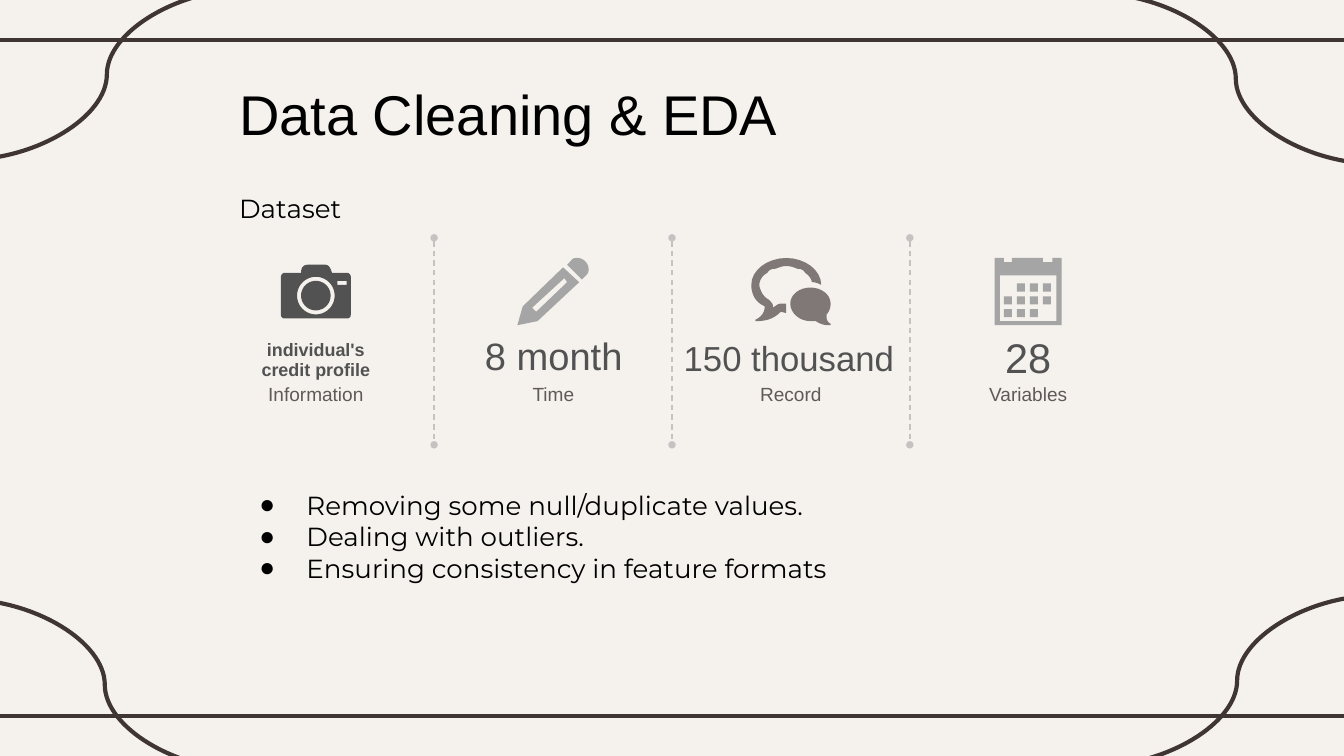
from math import cos, pi, sin

from lxml.etree import SubElement
from pptx import Presentation
from pptx.dml.color import RGBColor
from pptx.enum.dml import MSO_LINE
from pptx.enum.shapes import MSO_CONNECTOR as Connector
from pptx.enum.text import MSO_ANCHOR as Anchor, MSO_AUTO_SIZE as AutoSize, PP_ALIGN as Align
from pptx.oxml.ns import qn
from pptx.util import Inches, Pt

INK = "3F3533"
BLACK = "000000"
DARK = "525252"
GREY = "A5A5A5"


def paint(color_format, color):
    """Set a colour from a hex string."""
    color_format.rgb = RGBColor.from_string(color)


def place(shape, left, top, width, height):
    """Move and size a shape, in inches."""
    shape.left, shape.top = Inches(left), Inches(top)
    shape.width, shape.height = Inches(width), Inches(height)


def add_bullet(paragraph):
    """Give a paragraph a black dot with a hanging indent."""
    properties = paragraph._p.get_or_add_pPr()
    properties.set("marL", str(Inches(0.5)))
    properties.set("indent", str(Inches(-0.35)))
    color = SubElement(properties, qn("a:buClr"))
    SubElement(color, qn("a:srgbClr"), val=BLACK)
    SubElement(properties, qn("a:buChar"), char="●")


def write(frame, text, size, color=BLACK, font="Arial", bold=False, align=Align.LEFT,
          spacing=1.0, after=0, insets=(0.1, 0.1), bullets=False):
    """Fill a text frame with one paragraph per line of text."""
    frame.word_wrap = True
    frame.auto_size = AutoSize.NONE
    frame.vertical_anchor = Anchor.TOP
    frame.margin_left = frame.margin_right = Inches(0.1)
    frame.margin_top, frame.margin_bottom = map(Inches, insets)
    for index, line in enumerate(text.split("\n")):
        paragraph = frame.add_paragraph() if index else frame.paragraphs[0]
        paragraph.alignment = align
        paragraph.line_spacing = spacing
        paragraph.space_before, paragraph.space_after = Pt(0), Pt(after)
        if bullets:
            add_bullet(paragraph)
        run = paragraph.add_run()
        run.text = line
        run.font.size, run.font.name, run.font.bold = Pt(size), font, bold
        paint(run.font.color, color)


def add_text(slide, box, text, size, **text_format):
    """Add a text box at the given left, top, width and height."""
    write(slide.shapes.add_textbox(*map(Inches, box)).text_frame, text, size, **text_format)


def add_line(slide, start, end, kind=Connector.STRAIGHT, color=INK, width=2.25, dotted_ends=False):
    """Add a connector, dashed with small oval ends when asked."""
    connector = slide.shapes.add_connector(kind, *map(Inches, (*start, *end)))
    connector.line.width = Pt(width)
    paint(connector.line.color, color)
    if dotted_ends:
        connector.line.dash_style = MSO_LINE.DASH
        for tag in ("a:headEnd", "a:tailEnd"):
            SubElement(connector.line._get_or_add_ln(), qn(tag), type="oval", w="sm", len="sm")
    SubElement(connector._element.spPr, qn("a:effectLst"))


def trace(start, *segments, steps=8):
    """Return the points of an outline of lines (x, y) and cubic curves (six numbers)."""
    points = [start]
    for segment in segments:
        if len(segment) == 2:
            points.append(segment)
            continue
        x, y = points[-1]
        x1, y1, x2, y2, x3, y3 = segment
        for t in (step / steps for step in range(1, steps + 1)):
            a, b, c, d = (1 - t) ** 3, 3 * t * (1 - t) ** 2, 3 * t * t * (1 - t), t ** 3
            points.append((a * x + b * x1 + c * x2 + d * x3, a * y + b * y1 + c * y2 + d * y3))
    return points


def circle(x, y, radius, steps=40):
    """Return the points of a circle."""
    angles = (2 * pi * step / steps for step in range(steps))
    return [(x + radius * cos(angle), y + radius * sin(angle)) for angle in angles]


def rectangle(left, top, right, bottom):
    """Return the corners of a rectangle."""
    return [(left, top), (right, top), (right, bottom), (left, bottom)]


def add_icon(slide, color, outlines):
    """Add one filled freeform made of closed outlines."""
    outlines = [[(Inches(x), Inches(y)) for x, y in outline] for outline in outlines]
    builder = slide.shapes.build_freeform(*outlines[0][0])
    for index, outline in enumerate(outlines):
        if index:
            builder.move_to(*outline[0])
        builder.add_line_segments(outline[1:], close=True)
    icon = builder.convert_to_shape()
    icon.shadow.inherit = False
    icon.fill.solid()
    paint(icon.fill.fore_color, color)
    icon.line.fill.background()


def camera():
    """Return the outlines of the camera."""
    body = trace((2.58, 2.03), (2.47, 2.03), (2.46, 2, 2.45, 1.97, 2.42, 1.97), (2.29, 1.97),
                 (2.25, 1.97, 2.24, 2, 2.24, 2.03), (2.12, 2.03),
                 (2.1, 2.03, 2.09, 2.05, 2.09, 2.06), (2.09, 2.34),
                 (2.09, 2.36, 2.1, 2.37, 2.12, 2.37), (2.58, 2.37),
                 (2.6, 2.37, 2.61, 2.36, 2.61, 2.34), (2.61, 2.06),
                 (2.61, 2.05, 2.6, 2.03, 2.58, 2.03))
    return [body, circle(2.35, 2.2, 0.14), circle(2.35, 2.2, 0.11),
            rectangle(2.51, 2.09, 2.58, 2.12)]


def pencil():
    """Return the outlines of the pencil."""
    eraser = trace((4.3, 1.92), (4.34, 1.92, 4.38, 1.96, 4.38, 2), (4.38, 2.02, 4.38, 2.03, 4.36, 2.05),
                   (4.33, 2.08), (4.22, 1.97), (4.25, 1.94), (4.26, 1.92, 4.28, 1.92, 4.3, 1.92))
    barrel = [(3.89, 2.28), (3.85, 2.42), (4, 2.39), (4.31, 2.1), (4.19, 1.99)]
    slot = [(4.22, 2.1), (3.99, 2.32), (3.96, 2.29), (4.2, 2.07)]
    return [eraser, barrel, slot]


def speech_bubbles():
    """Return the outlines of the two speech bubbles."""
    small = trace((6.15, 2.36), (6.15, 2.38, 6.16, 2.4, 6.18, 2.41), (6.18, 2.42), (6.16, 2.42),
                  (6.13, 2.42, 6.1, 2.41, 6.07, 2.39), (6.03, 2.39),
                  (5.95, 2.39, 5.88, 2.33, 5.88, 2.26), (5.88, 2.19, 5.95, 2.14, 6.03, 2.14),
                  (6.11, 2.14, 6.18, 2.19, 6.18, 2.26), (6.18, 2.29, 6.17, 2.32, 6.15, 2.34))
    large = trace((5.71, 2.03), (5.67, 2.05, 5.65, 2.09, 5.65, 2.12),
                  (5.65, 2.14, 5.66, 2.16, 5.67, 2.18), (5.68, 2.2, 5.7, 2.22, 5.72, 2.23),
                  (5.73, 2.24, 5.75, 2.26, 5.75, 2.27), (5.75, 2.29),
                  (5.78, 2.27, 5.79, 2.26, 5.81, 2.26), (5.85, 2.26), (5.85, 2.33), (5.81, 2.32),
                  (5.75, 2.38, 5.69, 2.39, 5.62, 2.39), (5.62, 2.38),
                  (5.66, 2.36, 5.69, 2.33, 5.69, 2.28), (5.62, 2.25, 5.59, 2.19, 5.59, 2.12),
                  (5.59, 2.01, 5.71, 1.92, 5.85, 1.92), (5.99, 1.92, 6.11, 2.01, 6.11, 2.12),
                  (6.09, 2.11, 6.07, 2.1, 6.04, 2.1), (6.04, 2.08, 6.02, 2.05, 5.99, 2.03),
                  (5.98, 2.01, 5.96, 2, 5.93, 2), (5.91, 1.99, 5.88, 1.98, 5.85, 1.98),
                  (5.82, 1.98, 5.8, 1.99, 5.77, 2), (5.74, 2, 5.72, 2.01, 5.71, 2.03))
    return [small, large]


def calendar():
    """Return the outlines of the calendar with its grid of days."""
    sheet = [(7.83, 1.92), (7.83, 1.95), (7.76, 1.95), (7.76, 1.92), (7.53, 1.92), (7.53, 1.95),
             (7.47, 1.95), (7.47, 1.92), (7.4, 1.92), (7.4, 2.42), (7.9, 2.42), (7.9, 1.92)]
    corners = [(7.47 + 0.29 * column / 3, 2.11 + 0.19 * row / 2)
               for row in range(3) for column in range(4) if (row, column) not in ((0, 0), (2, 3))]
    days = [rectangle(x, y, x + 0.06, y + 0.06) for x, y in corners]
    return [sheet, rectangle(7.44, 2.05, 7.86, 2.39), *days]


def add_frame(slide):
    """Draw the two rules and the four corner curves."""
    for y in (0.3, 5.33):
        add_line(slide, (-0.08, y), (10.08, y))
    for start, end in (((-0.27, 4.46), (1.83, 5.73)), ((8.14, -0.05), (10.25, 1.22)),
                       ((10.26, 4.43), (8.15, 5.7)), ((1.85, -0.08), (-0.26, 1.19))):
        add_line(slide, start, end, kind=Connector.CURVE)


def add_facts(slide):
    """Draw the four dataset facts and the separators between them."""
    facts = (
        (camera, DARK, "individual's credit profile", 9.6, 1.71, 1.28, 0.9, "Information"),
        (pencil, GREY, "8 month", 20.4, 3.48, 1.28, 0.8, "Time"),
        (speech_bubbles, "807876", "150 thousand", 18.6, 4.97, 1.8, 0.9, "Record"),
        (calendar, GREY, "28", 22.2, 7.01, 1.28, 0.8, "Variables"),
    )
    centred = dict(align=Align.CENTER, insets=(0.05, 0.05))
    for index, (icon, icon_color, value, size, left, width, spacing, label) in enumerate(facts):
        add_icon(slide, icon_color, icon())
        add_text(slide, (left, 2.49, width, 0.4), value, size, color=DARK,
                 bold=index == 0, spacing=spacing, **centred)
        add_text(slide, (1.71 + 5.3 * index / 3, 2.83, 1.28, 0.24), label, 10.2,
                 color="605958", spacing=0.8, **centred)
    for x in (3.23, 5, 6.77):
        add_line(slide, (x, 1.77), (x, 3.31), color="C5C2C2", width=0.75, dotted_ends=True)


def main():
    """Build and save the slide."""
    deck = Presentation()
    deck.slide_width, deck.slide_height = Inches(10), Inches(10 * 9 / 16)
    slide = deck.slides.add_slide(deck.slide_layouts[1])
    slide.background.fill.solid()
    paint(slide.background.fill.fore_color, "F5F2EE")
    add_frame(slide)
    title, steps = slide.placeholders
    place(title, 1.68, 0.49, 6.65, 0.63)
    write(title.text_frame, "Data Cleaning & EDA", 30)
    place(steps, 1.68, 3.17, 7.25, 3.16)
    write(steps.text_frame, "Removing some null/duplicate values.\nDealing with outliers.\n"
          "Ensuring consistency in feature formats", 14, font="Montserrat",
          insets=(0.47, 0.1), bullets=True)
    add_facts(slide)
    add_text(slide, (1.68, 1.33, 3.28, 0.44), "Dataset", 14, font="Montserrat", after=10)
    deck.save("out.pptx")


if __name__ == "__main__":
    main()
